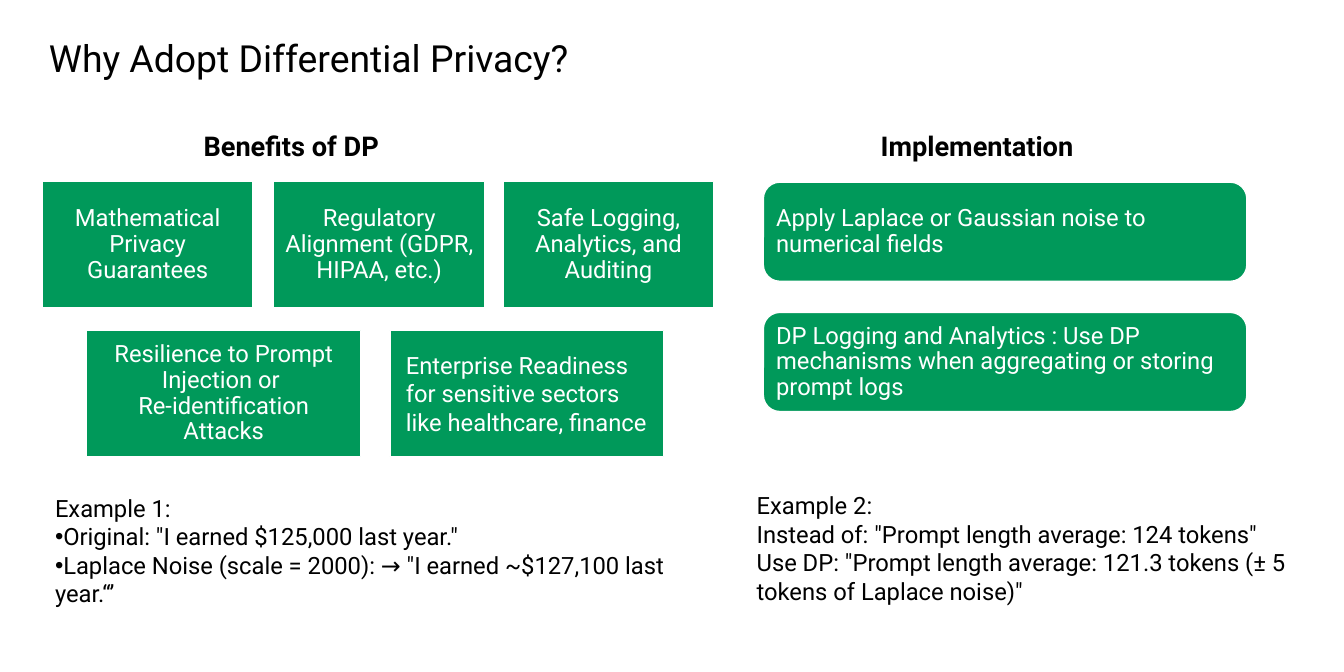
from dataclasses import dataclass

from lxml.etree import SubElement
from pptx import Presentation
from pptx.dml.color import RGBColor
from pptx.enum.shapes import MSO_SHAPE
from pptx.enum.text import MSO_ANCHOR, MSO_AUTO_SIZE, PP_ALIGN
from pptx.oxml.ns import qn
from pptx.util import Inches, Pt


@dataclass(frozen=True)
class Theme:
    """Colours, font and type sizes of the slide."""
    font: str = "Roboto"
    dark: RGBColor = RGBColor(0x00, 0x00, 0x00)
    light: RGBColor = RGBColor(0xFF, 0xFF, 0xFF)
    green: RGBColor = RGBColor(0x00, 0x99, 0x5A)
    title: Pt = Pt(44)
    heading: Pt = Pt(32)
    body: Pt = Pt(28)
    outline: Pt = Pt(1.5)


THEME = Theme()

BENEFITS = [
    (0.69, "Mathematical Privacy Guarantees"),
    (4.48, "Regulatory Alignment (GDPR, HIPAA, etc.)"),
    (8.23, "Safe Logging, Analytics, and Auditing"),
]
STEPS = [
    "Apply Laplace or Gaussian noise to numerical fields",
    "DP Logging and Analytics : Use DP mechanisms when aggregating or storing prompt logs",
]
EXAMPLE_1 = [
    "Example 1:",
    'Original: "I earned $125,000 last year."',
    'Laplace Noise (scale = 2000): → "I earned ~$127,100 last year.“’',
]
EXAMPLE_2 = [
    "Example 2:",
    'Instead of: "Prompt length average: 124 tokens"',
    'Use DP: "Prompt length average: 121.3 tokens (± 5 tokens of Laplace noise)"',
]


def format_text(tf, size, color, align=PP_ALIGN.LEFT, spacing=1.0, bold=False):
    """Format every paragraph and run of a text frame."""
    tf.word_wrap = True
    tf.auto_size = MSO_AUTO_SIZE.NONE
    for p in tf.paragraphs:
        p.alignment = align
        p.line_spacing = spacing
        p.space_before = p.space_after = Pt(0)
        for r in p.runs:
            r.font.name = THEME.font
            r.font.size = size
            r.font.bold = bold
            r.font.color.rgb = color


def set_bullet(p, char=None):
    """Give a paragraph an unindented bullet, or none."""
    pPr = p._p.get_or_add_pPr()
    pPr.set("marL", "0")
    pPr.set("indent", "0")
    if char:
        SubElement(pPr, qn("a:buChar")).set("char", char)
    else:
        SubElement(pPr, qn("a:buNone"))


def fill_placeholder(sp, box, lines, size, bold=False, bullets=False):
    """Move a placeholder and fill it with lines of text."""
    sp.left, sp.top, sp.width, sp.height = map(Inches, box)
    tf = sp.text_frame
    tf.text = "\n".join(lines)
    tf.vertical_anchor = MSO_ANCHOR.TOP
    format_text(tf, size, THEME.dark, bold=bold)
    for i, p in enumerate(tf.paragraphs):
        set_bullet(p, "•" if bullets and i else None)


def add_card(s, box, text, inset, shape=MSO_SHAPE.RECTANGLE,
             align=PP_ALIGN.CENTER, spacing=0.9):
    """Add a green card with vertically centred text."""
    sp = s.shapes.add_shape(shape, *map(Inches, box))
    sp.shadow.inherit = False
    sp.fill.solid()
    sp.fill.fore_color.rgb = THEME.green
    sp.line.color.rgb = THEME.light
    sp.line.width = THEME.outline
    tf = sp.text_frame
    tf.text = text
    tf.vertical_anchor = MSO_ANCHOR.MIDDLE
    tf.margin_left = tf.margin_right = Inches(inset)
    tf.margin_top = tf.margin_bottom = Inches(0.12)
    format_text(tf, THEME.body, THEME.light, align, spacing)


def main():
    """Build the slide and save it."""
    prs = Presentation()
    prs.slide_width, prs.slide_height = Inches(21.99), Inches(10.99)
    s = prs.slides.add_slide(prs.slide_layouts.get_by_name("Comparison"))
    title, left_head, left_body, right_head, right_body = list(s.placeholders)[:5]

    fill_placeholder(title, (0.7, 0.52, 20.33, 0.84),
                     ["Why Adopt Differential Privacy?"], THEME.title)
    fill_placeholder(left_head, (3.23, 2.07, 10.03, 0.64),
                     ["Benefits of DP"], THEME.heading, bold=True)
    fill_placeholder(right_head, (14.31, 2.07, 4.09, 0.64),
                     ["Implementation"], THEME.heading, bold=True)
    fill_placeholder(left_body, (0.8, 8.02, 10.19, 2.46),
                     EXAMPLE_1, THEME.body, bullets=True)
    fill_placeholder(right_body, (12.28, 7.98, 8.9, 1.99),
                     EXAMPLE_2, THEME.body)

    for x, text in BENEFITS:
        add_card(s, (x, 2.97, 3.45, 2.07), text, 0.12)
    add_card(s, (1.42, 5.4, 4.48, 2.07),
             "Resilience to Prompt Injection or \vRe-identification Attacks", 0.27)
    add_card(s, (6.38, 5.4, 4.48, 2.07),
             "Enterprise Readiness for sensitive sectors like healthcare, finance",
             0.26, align=PP_ALIGN.LEFT, spacing=1.0)
    for i, text in enumerate(STEPS):
        add_card(s, (12.49, 2.98 + i * 2.13, 7.91, 1.62), text, 0.13,
                 MSO_SHAPE.ROUNDED_RECTANGLE, PP_ALIGN.LEFT)

    for sp in list(s.placeholders):
        if not sp.text_frame.text:
            sp.element.getparent().remove(sp.element)
    prs.save("out.pptx")


if __name__ == "__main__":
    main()
